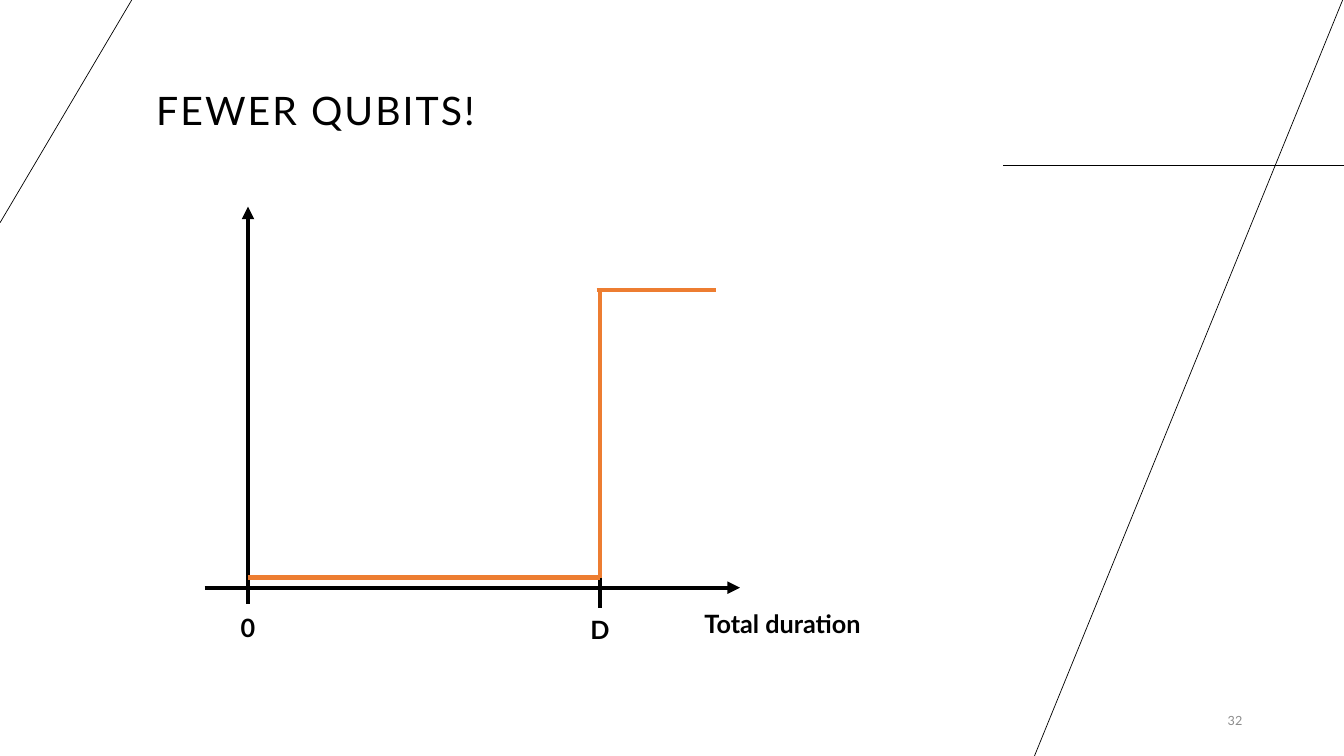
from dataclasses import dataclass

from lxml.etree import SubElement
from pptx import Presentation
from pptx.dml.color import RGBColor
from pptx.enum.shapes import MSO_CONNECTOR
from pptx.enum.text import MSO_ANCHOR, PP_ALIGN
from pptx.oxml.ns import qn
from pptx.util import Inches, Pt

BLACK, GREY, ORANGE = "000000", "8C8C8C", "ED7D31"


@dataclass
class Box:
    """A region in inches, addressed in percent of its width and height."""
    left: float
    top: float
    width: float
    height: float

    def point(self, across, down):
        return (Inches(self.left + self.width * across / 100),
                Inches(self.top + self.height * down / 100))

    def size(self, across, down):
        return Inches(self.width * across / 100), Inches(self.height * down / 100)


def color(hex_string):
    return RGBColor.from_string(hex_string)


def add_line(slide, box, start, end, hex_string=BLACK, weight=3, arrow=False):
    connector = slide.shapes.add_connector(
        MSO_CONNECTOR.STRAIGHT, *box.point(*start), *box.point(*end))
    connector.line.color.rgb = color(hex_string)
    connector.line.width = Pt(weight)
    if arrow:
        SubElement(connector.line._get_or_add_ln(), qn("a:tailEnd"), type="triangle")
    SubElement(connector._element.spPr, qn("a:effectLst"))
    return connector


def add_text(slide, box, corner, extent, text, size, hex_string=BLACK, bold=False,
             align=PP_ALIGN.LEFT, anchor=MSO_ANCHOR.TOP, wrap=True):
    shape = slide.shapes.add_textbox(*box.point(*corner), *box.size(*extent))
    frame = shape.text_frame
    frame.word_wrap = wrap
    frame.vertical_anchor = anchor
    paragraph = frame.paragraphs[0]
    paragraph.alignment = align
    run = paragraph.add_run()
    run.text = text
    run.font.name = "Lato"
    run.font.size = Pt(size)
    run.font.bold = bold
    run.font.color.rgb = color(hex_string)
    return paragraph


def add_frame_lines(slide, box):
    for start, end in (((74.64, 21.87), (100, 21.87)),
                       ((99.9, 0), (76.97, 100)),
                       ((0, 29.47), (9.8, 0))):
        add_line(slide, box, start, end, weight=0.5)


def add_title_and_number(slide, box):
    add_text(slide, box, (85.07, 92.67), (8.1, 5.33), "32", 9, GREY,
             align=PP_ALIGN.RIGHT, anchor=MSO_ANCHOR.MIDDLE)
    title = add_text(slide, box, (10.88, 6.4), (59.8, 12), "FEWER QUBITS!", 28,
                     anchor=MSO_ANCHOR.BOTTOM)
    title.line_spacing = 0.9
    title.runs[0].font._element.set("spc", "150")


def add_step_plot(slide, box):
    """The box runs from 0 to D across and from arrow tip to axis down."""
    low, high, step_end = 97.35, 21.96, 132.95
    label_width, label_height = 16.6, 10.6

    # Axes and the tick at D
    add_line(slide, box, (0, 104.2), (0, 0), arrow=True)
    add_line(slide, box, (-12.3, 100), (139.8, 100), arrow=True)
    add_line(slide, box, (100, 95), (100, 105.3))

    # Labels
    add_text(slide, box, (126.9, 104.2), (50.7, label_height), "Total duration",
             18, bold=True, wrap=False)
    for text, across, down in (("D", 100, 105.8), ("0", 0, 105.3)):
        add_text(slide, box, (across - label_width / 2, down),
                 (label_width, label_height), text, 18, bold=True,
                 align=PP_ALIGN.CENTER)

    # Step function
    for start, end in (((0, low), (100, low)),
                       ((99.1, high), (step_end, high)),
                       ((100, high), (100, low))):
        add_line(slide, box, start, end, ORANGE)


def main():
    presentation = Presentation()
    presentation.slide_width = Inches(13.33)
    presentation.slide_height = Inches(7.5)
    slide = presentation.slides.add_slide(presentation.slide_layouts[6])
    slide.background.fill.solid()
    slide.background.fill.fore_color.rgb = color("FFFFFF")

    whole_slide = Box(0, 0, 13.33, 7.5)
    add_frame_lines(slide, whole_slide)
    add_title_and_number(slide, whole_slide)
    add_step_plot(slide, Box(2.46, 2.05, 3.49, 3.78))
    presentation.save("out.pptx")


if __name__ == "__main__":
    main()
